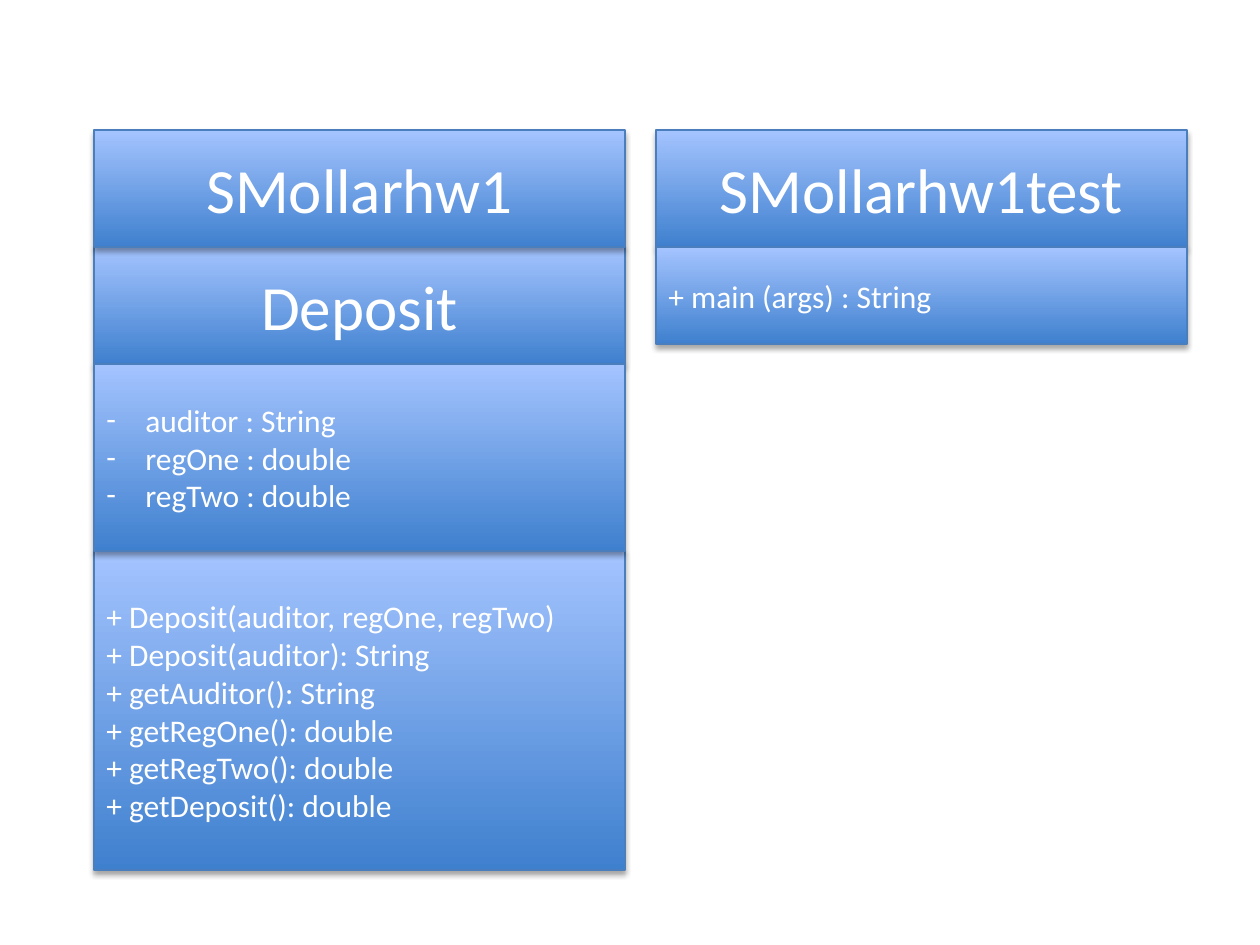
from lxml.etree import SubElement
from pptx import Presentation
from pptx.dml.color import RGBColor
from pptx.enum.shapes import MSO_SHAPE
from pptx.enum.text import MSO_ANCHOR, PP_ALIGN
from pptx.oxml import parse_xml
from pptx.oxml.ns import nsdecls, qn
from pptx.util import Emu, Pt

COLORS = {"bottom": "3F80CE", "top": "A4C4FF", "outline": "4B7EBC",
          "text": "FFFFFF", "shadow": "000000"}
PX = 914400 // 126
FONT = "Calibri"
CLASS_TOP, CLASS_WIDTH = 130, 531
INDENT = 39

HEADING = {"size": 36, "align": PP_ALIGN.CENTER}
MEMBERS = {"size": 18, "align": PP_ALIGN.LEFT}
FIELDS = {**MEMBERS, "bullet": "-"}

CLASSES = [
    {"left": 94, "layers": [1, 2, 3, 0], "compartments": [
        (117, ["SMollarhw1"], HEADING),
        (117, ["Deposit"], HEADING),
        (187, ["auditor : String", "regOne : double", "regTwo : double"], FIELDS),
        (319, ["+ Deposit(auditor, regOne, regTwo)", "+ Deposit(auditor): String",
               "+ getAuditor(): String", "+ getRegOne(): double",
               "+ getRegTwo(): double", "+ getDeposit(): double"], MEMBERS),
    ]},
    {"left": 656, "layers": [0, 1], "compartments": [
        (117, ["SMollarhw1test"], HEADING),
        (97, ["+ main (args) : String"], MEMBERS),
    ]},
]
CLASSES[0]["layers"] = [1, 3, 2, 0]


def color(name):
    """Return the named colour."""
    return RGBColor.from_string(COLORS[name])


def write(frame, lines, size, align, bullet=None):
    """Fill a text frame with one formatted paragraph per line."""
    frame.word_wrap = True
    frame.vertical_anchor = MSO_ANCHOR.MIDDLE
    for number, line in enumerate(lines):
        paragraph = frame.add_paragraph() if number else frame.paragraphs[0]
        paragraph.alignment = align
        run = paragraph.add_run()
        run.text = line
        run.font.name, run.font.size = FONT, Pt(size)
        run.font.color.rgb = color("text")
        if bullet:
            properties = paragraph._p.get_or_add_pPr()
            properties.set("marL", str(INDENT * PX))
            properties.set("indent", str(-INDENT * PX))
            SubElement(properties, qn("a:buFont"), typeface=FONT)
            SubElement(properties, qn("a:buChar"), char=bullet)


def add_shadow(shape):
    """Give a shape a soft shadow falling straight down."""
    shape.shadow.inherit = False
    effects = shape._element.spPr.find(qn("a:effectLst"))
    effects.append(parse_xml(
        f'<a:outerShdw {nsdecls("a")} blurRad="{Pt(3.1)}" dist="{Pt(1.8)}" '
        f'dir="5400000" rotWithShape="0"><a:srgbClr val="{COLORS["shadow"]}">'
        '<a:alpha val="35000"/></a:srgbClr></a:outerShdw>'))


def add_compartment(slide, left, top, height, lines, style):
    """Draw one compartment of a class box."""
    box = slide.shapes.add_shape(
        MSO_SHAPE.RECTANGLE, *(Emu(n * PX) for n in (left, top, CLASS_WIDTH, height)))
    box.fill.gradient()
    box.fill.gradient_angle = 90
    for stop, name in zip(box.fill.gradient_stops, ("bottom", "top")):
        stop.color.rgb = color(name)
    box.line.color.rgb = color("outline")
    box.line.width = Pt(0.75)
    add_shadow(box)
    write(box.text_frame, lines, **style)


def main():
    """Build the class diagram slide."""
    deck = Presentation()
    deck.slide_width, deck.slide_height = Emu(1260 * PX), Emu(945 * PX)
    slide = deck.slides.add_slide(deck.slide_layouts[6])
    for diagram in CLASSES:
        compartments = diagram["compartments"]
        for layer in diagram["layers"]:
            top = CLASS_TOP + sum(height for height, _, _ in compartments[:layer])
            add_compartment(slide, diagram["left"], top, *compartments[layer])
    deck.save("out.pptx")


main()
